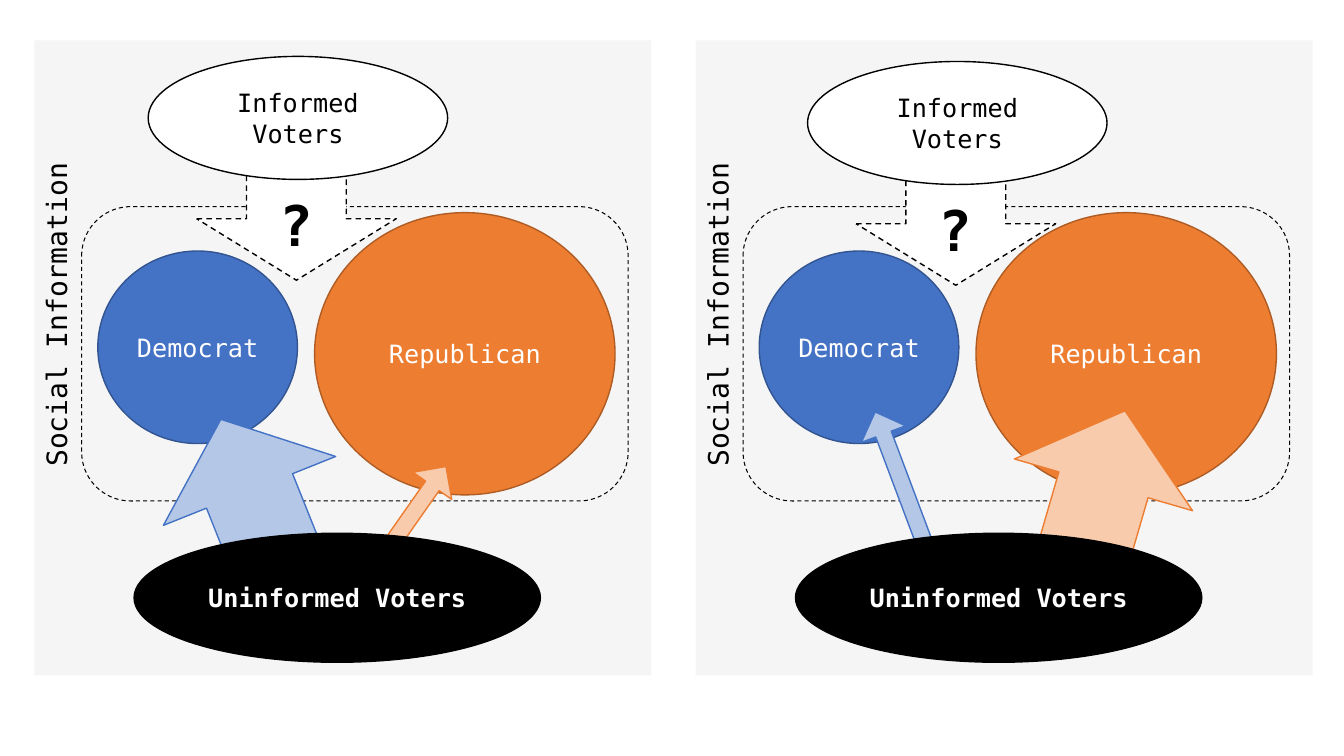
from dataclasses import dataclass
from pptx import Presentation
from pptx.dml.color import RGBColor
from pptx.enum.dml import MSO_LINE
from pptx.enum.shapes import MSO_SHAPE
from pptx.enum.text import MSO_ANCHOR, MSO_AUTO_SIZE, PP_ALIGN
from pptx.util import Inches, Pt


@dataclass(frozen=True)
class Theme:
    font: str = "DejaVu Sans Mono"
    black: str = "000000"
    white: str = "FFFFFF"
    panel: str = "F5F5F5"
    blue: str = "4472C4"
    navy: str = "325491"
    sky: str = "B4C7E7"
    orange: str = "ED7D31"
    rust: str = "AF5C24"
    peach: str = "F8CBAD"
    label: int = 18
    side: int = 20
    mark: int = 40


theme = Theme()
blues = (theme.sky, theme.blue)
oranges = (theme.peach, theme.orange)
wide, thin = 0.5, 0.35

panels = [
    {
        "left": 0.34,
        "shift": (0, 0),
        "arrows": [
            ((1.37, 3.55, 1.53, 1.84), 248.2, wide, blues),
            ((3.32, 4.39, 0.97, 0.47), 305, thin, oranges),
        ],
    },
    {
        "left": 6.9,
        "shift": (-0.02, 0.05),
        "arrows": [
            ((3.28, 3.49, 1.53, 1.84), 286.2, wide, oranges),
            ((1.31, 4.13, 1.45, 0.47), 249.4, thin, blues),
        ],
    },
]
top = 0.4

parties = [
    ("Democrat", (0.63, 2.09, 1.98, 1.91), theme.blue, theme.navy),
    ("Republican", (2.78, 1.71, 2.98, 2.8), theme.orange, theme.rust),
]


def place(left, box):
    x, y, w, h = box
    return [Inches(n) for n in (left + x, top + y, w, h)]


def write(shape, text, size, color, bold=False, align=PP_ALIGN.CENTER):
    frame = shape.text_frame
    frame.text = text
    para = frame.paragraphs[0]
    para.alignment = align
    font = para.runs[0].font
    font.name, font.size, font.bold = theme.font, Pt(size), bold
    font.color.rgb = RGBColor.from_string(color)
    return frame


def draw(group, left, kind, box, fill=None, line=None, width=1, dash=False):
    shape = group.shapes.add_shape(kind, *place(left, box))
    shape.shadow.inherit = False
    if fill:
        shape.fill.solid()
        shape.fill.fore_color.rgb = RGBColor.from_string(fill)
    else:
        shape.fill.background()
    if line:
        shape.line.color.rgb = RGBColor.from_string(line)
        shape.line.width = Pt(width)
        if dash:
            shape.line.dash_style = MSO_LINE.DASH
    else:
        shape.line.fill.background()
    return shape


def build(slide, panel):
    left = panel["left"]
    dx, dy = panel["shift"]
    group = slide.shapes.add_group_shape()
    draw(group, left, MSO_SHAPE.RECTANGLE, (0, 0, 6.12, 6.3), theme.panel)

    for name, box, fill, line in parties:
        party = draw(group, left, MSO_SHAPE.OVAL, box, fill, line)
        frame = write(party, name, theme.label, theme.white)
        frame.margin_left = frame.margin_right = 0
    draw(group, left, MSO_SHAPE.ROUNDED_RECTANGLE, (0.47, 1.65, 5.42, 2.92),
         None, theme.black, 0.75, True)

    for box, angle, shaft, colors in panel["arrows"]:
        arrow = draw(group, left, MSO_SHAPE.RIGHT_ARROW, box, *colors)
        arrow.rotation = angle
        arrow.adjustments[0] = shaft

    crowd = draw(group, left, MSO_SHAPE.OVAL, (0.99, 4.89, 4.03, 1.28),
                 theme.black, theme.black)
    write(crowd, "Uninformed Voters", theme.label, theme.white, True)

    doubt = draw(group, left, MSO_SHAPE.DOWN_ARROW,
                 (1.61 + dx, 1.16 + dy, 1.98, 1.22),
                 theme.white, theme.black, 1, True)
    frame = write(doubt, "?", theme.mark, theme.black, True)
    frame.vertical_anchor = MSO_ANCHOR.TOP
    frame.margin_top, frame.margin_bottom = Inches(0.33), 0

    expert = draw(group, left, MSO_SHAPE.OVAL,
                  (1.13 + dx, 0.16 + dy, 2.97, 1.22), theme.white, theme.black)
    write(expert, "Informed Voters", theme.label, theme.black)

    side = group.shapes.add_textbox(*place(left, (0, 1.77, 0.54, 2.56)))
    frame = write(side, "Social Information", theme.side, theme.black,
                  align=PP_ALIGN.LEFT)
    frame.word_wrap = False
    frame.auto_size = MSO_AUTO_SIZE.SHAPE_TO_FIT_TEXT
    side.element.xpath(".//a:bodyPr")[0].set("vert", "vert270")


deck = Presentation()
deck.slide_width, deck.slide_height = Inches(13.33), Inches(7.5)
slide = deck.slides.add_slide(deck.slide_layouts[6])
for panel in panels:
    build(slide, panel)
deck.save("out.pptx")
